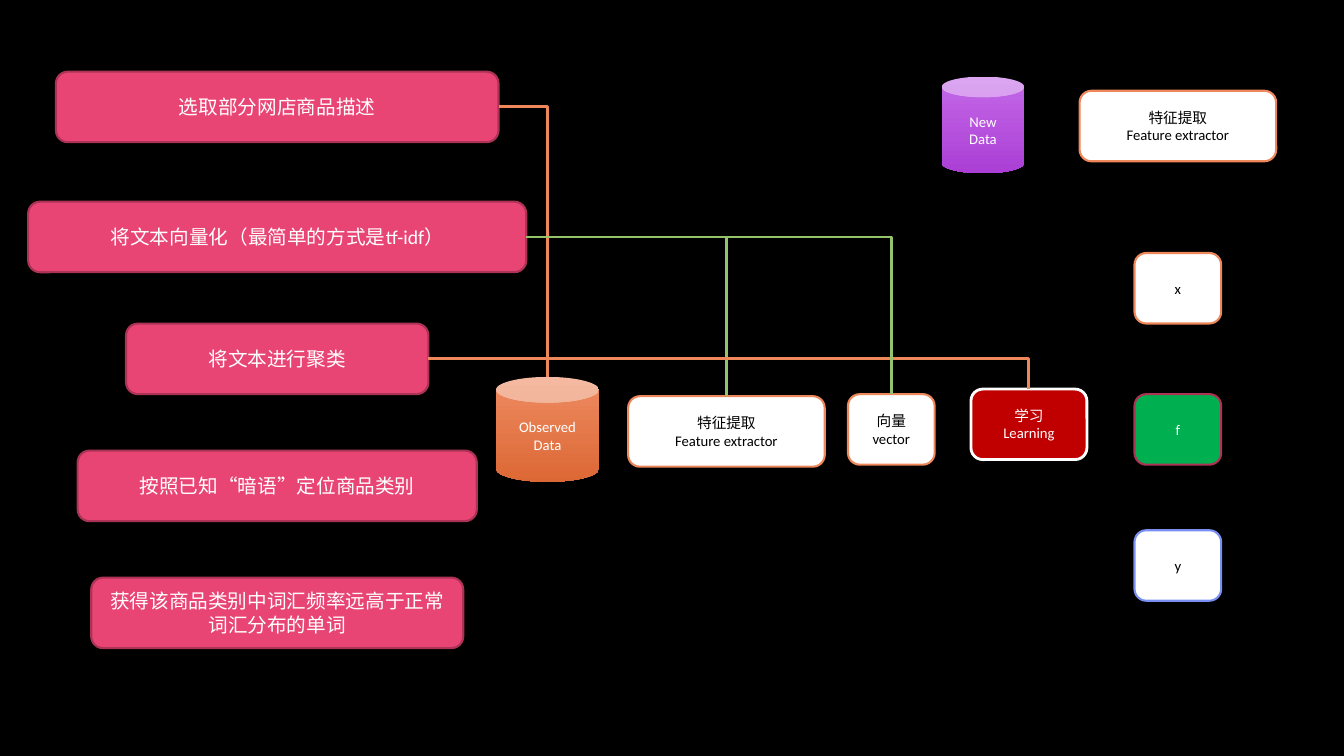
import pptx
import pptx.dml.color
import pptx.enum.shapes
import pptx.enum.text
import pptx.oxml.ns
import pptx.util
from lxml import etree

SHAPE = pptx.enum.shapes.MSO_SHAPE
PINK, PLUM, CORAL, LEAF = "E84574", "AC3356", "EE875A", "95C369"
WHITE, BLACK, RED, GREEN, BLUE = "FFFFFF", "000000", "C00000", "00B050", "798FF2"
ROW = 9.33  # height of every rounded box, in hundredths of the slide

deck = pptx.Presentation()
deck.slide_width = pptx.util.Inches(13.33)
deck.slide_height = pptx.util.Inches(7.5)
slide = deck.slides.add_slide(deck.slide_layouts[6])


def colour(value):
    return pptx.dml.color.RGBColor.from_string(value)


def across(share):
    return round(deck.slide_width * share / 100)


def down(share):
    return round(deck.slide_height * share / 100)


def write(shape, text, size, ink):
    """Centre the lines of text in the shape."""
    frame = shape.text_frame
    frame.word_wrap = True
    frame.vertical_anchor = pptx.enum.text.MSO_ANCHOR.MIDDLE
    frame.text = text
    for paragraph in frame.paragraphs:
        paragraph.alignment = pptx.enum.text.PP_ALIGN.CENTER
        for run in paragraph.runs:
            font_format = {"size": pptx.util.Pt(size), "name": "Calibri"}
            for attribute, value in font_format.items():
                setattr(run.font, attribute, value)
            run.font.color.rgb = colour(ink)
            east_asian = etree.SubElement(run.font._element, pptx.oxml.ns.qn("a:ea"))
            east_asian.set("typeface", "Noto Sans CJK SC")


def place(kind, box, centre, middle, width, height):
    """Add a shape by its centre, measured from the box's top left corner."""
    left, top = box[0] + centre - width / 2, box[1] + middle - height / 2
    shape = slide.shapes.add_shape(kind, across(left), down(top), across(width), down(height))
    shape.shadow.inherit = False
    return shape


def card(box, text, centre, middle, width, fill=WHITE, edge=CORAL, ink=BLACK,
         size=10.5, weight=1.5):
    shape = place(SHAPE.ROUNDED_RECTANGLE, box, centre, middle, width, ROW)
    shape.fill.solid()
    shape.fill.fore_color.rgb = colour(fill)
    shape.line.color.rgb = colour(edge)
    shape.line.width = pptx.util.Pt(weight)
    write(shape, text, size, ink)
    return shape


def store(box, text, centre, middle, width, height, shades):
    """Add a data cylinder shaded from top to bottom."""
    shape = place(SHAPE.CAN, box, centre, middle, width, height)
    shape.fill.gradient()
    shape.fill.gradient_angle = 270
    for stop, shade in zip(shape.fill.gradient_stops, shades):
        stop.color.rgb = colour(shade)
    shape.line.fill.background()
    write(shape, text, 10.5, WHITE)
    return shape


def link(step, stage, tint, offset=0):
    """Run right from a step, then down to the top of a stage."""
    line = slide.shapes.add_connector(
        pptx.enum.shapes.MSO_CONNECTOR.ELBOW,
        step.left + step.width + across(offset), step.top + step.height // 2,
        stage.left + stage.width // 2, stage.top)
    line.line.color.rgb = colour(tint)
    line.line.width = pptx.util.Pt(2)
    properties = line._element.spPr
    properties.find(pptx.oxml.ns.qn("a:prstGeom")).set("prst", "bentConnector2")
    etree.SubElement(properties, pptx.oxml.ns.qn("a:effectLst"))


def add_steps(box):
    """Five steps on one centre line."""
    steps = [("选取部分网店商品描述", 4.67, 32.93),
             ("将文本向量化（最简单的方式是tf-idf）", 21.87, 37.06),
             ("将文本进行聚类", 38, 22.5),
             ("按照已知“暗语”定位商品类别", 54.8, 29.7),
             ("获得该商品类别中词汇频率远高于正常词汇分布的单词", 71.6, 27.68)]
    return [card(box, text, box[2] / 2, middle, width, PINK, PLUM, WHITE, 14)
            for text, middle, width in steps]


def add_training(box):
    """Observed data through to learning."""
    return [store(box, "Observed\nData", 4.74, 6.8, 7.65, 13.87, ("EE8B61", "DC6835")),
            card(box, "特征提取\nFeature extractor", 18.05, 7.07, 14.63),
            card(box, "向量\nvector", 30.32, 6.8, 6.45),
            card(box, "学习\nLearning", 40.56, 6.13, 8.63, RED, WHITE, WHITE, weight=2)]


def add_prediction(box):
    """New data, its features, and the x, f, y column."""
    column = 17.64
    card(box, "f", column, 46.8, 6.45, GREEN, PLUM, WHITE)
    card(box, "x", column, 28.13, 6.45)
    card(box, "y", column, 64.8, 6.45, edge=BLUE)
    card(box, "特征提取\nFeature extractor", column, 6.67, 14.63)
    store(box, "New\nData", 3.14, 6.53, 6.15, 12.8, ("C469E8", "AB3FD5"))


# Background
slide.background.fill.solid()
slide.background.fill.fore_color.rgb = colour(BLACK)

# Regions: left, top, width, height in hundredths of the slide
choose, vectorise, cluster, *_ = add_steps((2.1, 9.47, 37.06, 76.27))
observed, extractor, vector, learning = add_training((36, 50, 46, 14))
add_prediction((70, 10, 26, 70))

# Links from the steps to the training stages
link(choose, observed, CORAL)
link(vectorise, extractor, LEAF)
link(cluster, learning, CORAL)
link(vectorise, vector, LEAF, offset=3.75)

deck.save("out.pptx")
